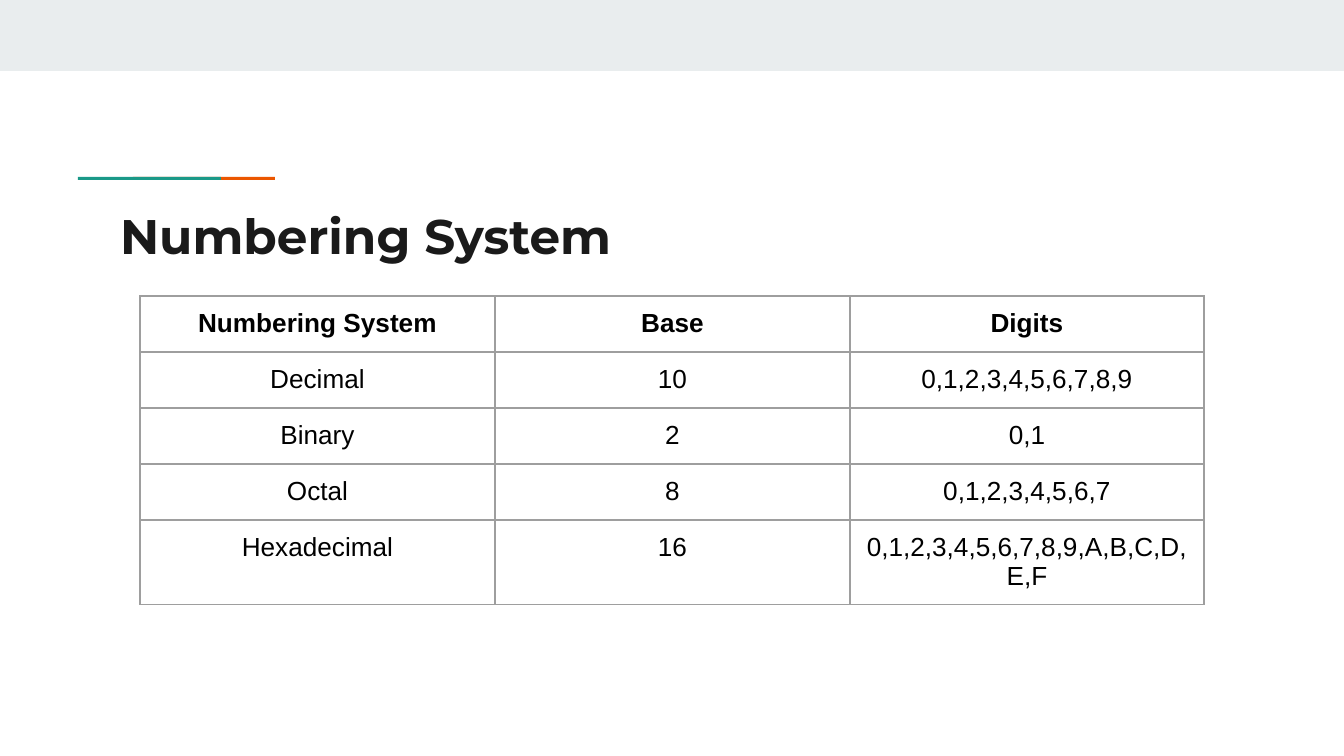
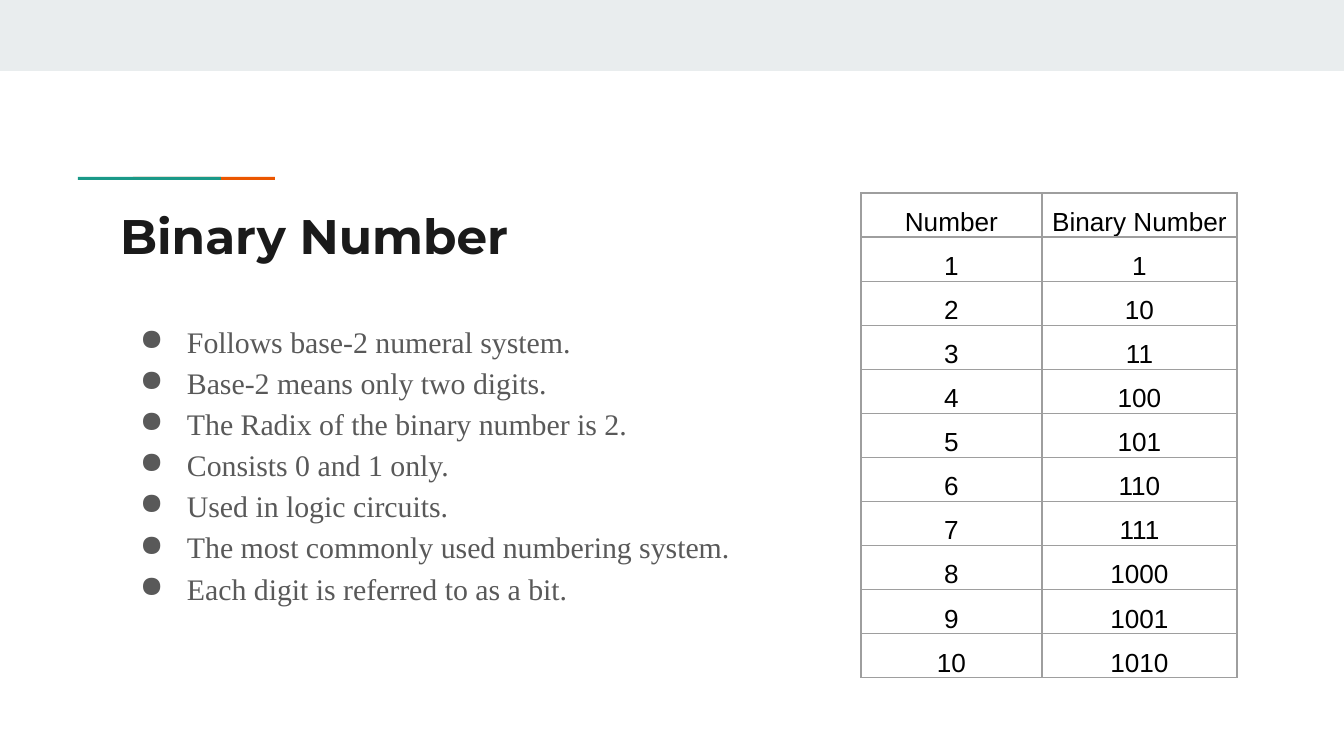
"""Build two slides on numbering systems: a comparison table and the binary numbers."""
from dataclasses import dataclass

from lxml import etree
from pptx import Presentation
from pptx import util as u
from pptx.dml.color import RGBColor
from pptx.enum import shapes, text
from pptx.oxml import ns


@dataclass(frozen=True)
class Theme:
    band: str = "E9EDEE"
    orange: str = "EB5600"
    teal: str = "1A9988"
    title: str = "1A1A1A"
    body: str = "595959"
    cell: str = "000000"
    border: str = "9E9E9E"
    title_font: str = "Montserrat"
    body_font: str = "Times New Roman"
    cell_font: str = "Arial"
    title_size: int = 26
    body_size: int = 16
    cell_size: int = 14
    border_width: float = 0.75
    inset: int = 13


T = Theme()
PX = 914400 / 134.4


def px(*lengths):
    return [u.Emu(round(n * PX)) for n in lengths]


def style(p, font, size, color, bold=False):
    for r in p.runs:
        r.font.name = font
        r.font.size = u.Pt(size)
        r.font.bold = bold
        r.font.color.rgb = RGBColor.from_string(color)


decor = [
    (0, 0, 1344, 71, T.band),
    (133, 177, 142, 3, T.orange),
    (78, 177, 143, 3, T.teal),
]
bullets = [
    "Follows base-2 numeral system.",
    "Base-2 means only two digits.",
    "The Radix of the binary number is 2.",
    "Consists 0 and 1 only.",
    "Used in logic circuits.",
    "The most commonly used numbering system.",
    "Each digit is referred to as a bit.",
]
systems = [
    ("Numbering System", "Base", "Digits"),
    ("Decimal", "10", "0,1,2,3,4,5,6,7,8,9"),
    ("Binary", "2", "0,1"),
    ("Octal", "8", "0,1,2,3,4,5,6,7"),
    ("Hexadecimal", "16", "0,1,2,3,4,5,6,7,8,9,A,B,C,D,E,F"),
]
binaries = [("Number", "Binary Number")] + [(str(n), f"{n:b}") for n in range(1, 11)]
slides = [
    dict(title="Numbering System", bullets=[], rows=systems, at=(140, 296),
         cols=(355, 355, 354), row_height=56, margins=(13, 13), spacing=1.0, bold_head=True),
    dict(title="Binary Number", bullets=bullets, rows=binaries, at=(861, 193),
         cols=(181, 195), row_height=40, margins=(9, 0), spacing=1.5, bold_head=False),
]

prs = Presentation()
prs.slide_width, prs.slide_height = px(1344, 756)

for item in slides:
    s = prs.slides.add_slide(prs.slide_layouts[5])

    for *box, color in decor:
        sp = s.shapes.add_shape(shapes.MSO_SHAPE.RECTANGLE, *px(*box))
        sp.shadow.inherit = False
        sp.fill.solid()
        sp.fill.fore_color.rgb = RGBColor.from_string(color)
        sp.line.fill.background()

    title = s.shapes.title
    title.left, title.top, title.width, title.height = px(107, 193, 1130, 79)
    title.text_frame.text = item["title"]
    frames = [title.text_frame]
    style(title.text_frame.paragraphs[0], T.title_font, T.title_size, T.title, True)

    if item["bullets"]:
        tf = s.shapes.add_textbox(*px(107, 305, 1130, 332)).text_frame
        tf.text = "\n".join(item["bullets"])
        frames.append(tf)
        indent, hanging = px(67, -47)
        for p in tf.paragraphs:
            p.line_spacing = 1.15
            style(p, T.body_font, T.body_size, T.body)
            pPr = p._p.get_or_add_pPr()
            pPr.set("marL", str(indent))
            pPr.set("indent", str(hanging))
            color = etree.SubElement(pPr, ns.qn("a:buClr"))
            etree.SubElement(color, ns.qn("a:srgbClr"), val=T.body)
            etree.SubElement(pPr, ns.qn("a:buChar"), char="●")

    for tf in frames:
        tf.word_wrap = True
        tf.auto_size = text.MSO_AUTO_SIZE.NONE
        tf.vertical_anchor = text.MSO_ANCHOR.TOP
        tf.margin_left, tf.margin_top, tf.margin_right, tf.margin_bottom = px(*[T.inset] * 4)
        for p in tf.paragraphs:
            p.alignment = text.PP_ALIGN.LEFT

    rows, cols = item["rows"], item["cols"]
    size = sum(cols), item["row_height"] * len(rows)
    table = s.shapes.add_table(len(rows), len(cols), *px(*item["at"], *size)).table
    table.first_row = table.horz_banding = False
    for column, width in zip(table.columns, px(*cols)):
        column.width = width

    side, end = px(*item["margins"])
    for i, row in enumerate(rows):
        for j, value in enumerate(row):
            cell = table.cell(i, j)
            cell.margin_left = cell.margin_right = side
            cell.margin_top = cell.margin_bottom = end
            cell.text_frame.text = value
            p = cell.text_frame.paragraphs[0]
            p.alignment = text.PP_ALIGN.CENTER
            p.line_spacing = item["spacing"]
            style(p, T.cell_font, T.cell_size, T.cell, item["bold_head"] and i == 0)
            tcPr = cell._tc.get_or_add_tcPr()
            for edge in ("lnL", "lnR", "lnT", "lnB"):
                ln = etree.SubElement(tcPr, ns.qn(f"a:{edge}"), w=str(u.Pt(T.border_width)))
                fill = etree.SubElement(ln, ns.qn("a:solidFill"))
                etree.SubElement(fill, ns.qn("a:srgbClr"), val=T.border)
            cell.fill.background()

prs.save("out.pptx")
